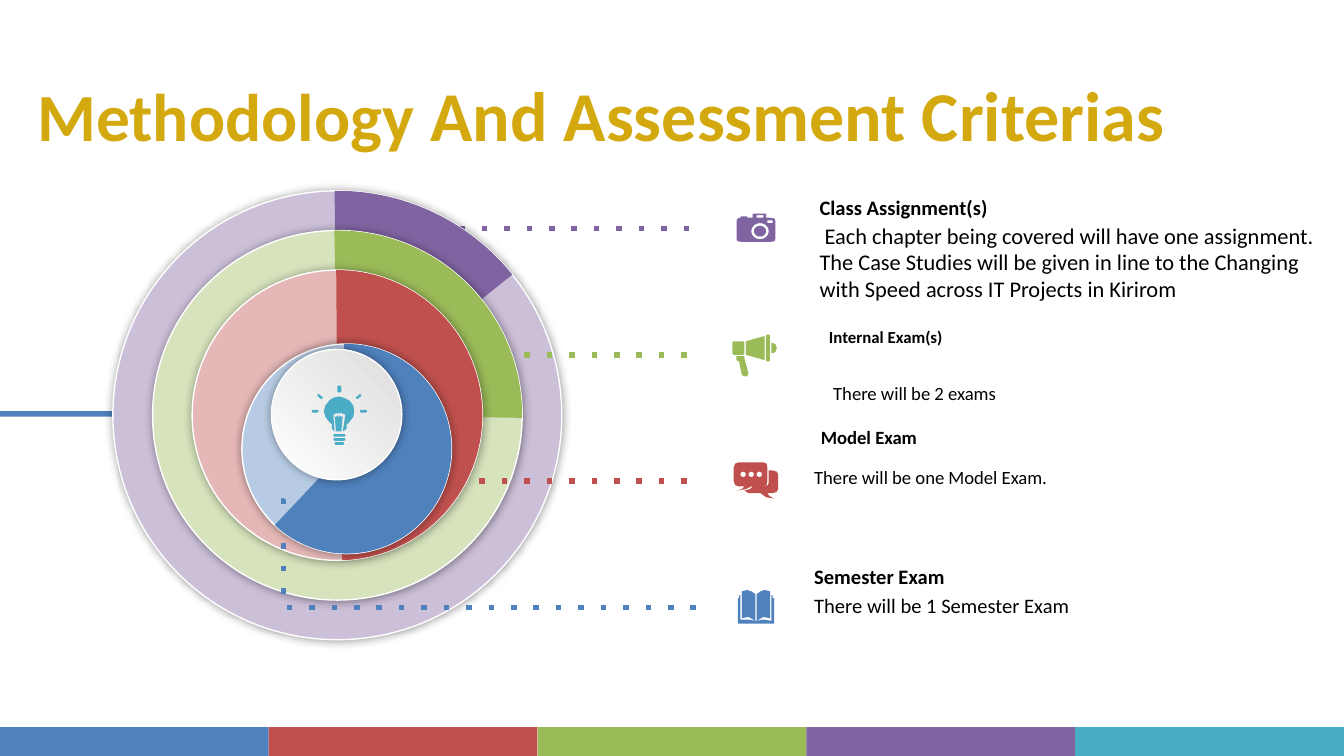
from math import copysign, cos, pi, sin

from lxml import etree
from pptx import Presentation
from pptx.dml.color import RGBColor
from pptx.enum.shapes import MSO_CONNECTOR, MSO_SHAPE
from pptx.enum.text import MSO_ANCHOR, PP_ALIGN
from pptx.oxml.ns import qn
from pptx.util import Inches, Pt

BLUE = RGBColor(0x4F, 0x81, 0xBD)
RED = RGBColor(0xC0, 0x50, 0x4D)
GREEN = RGBColor(0x9B, 0xBB, 0x59)
PURPLE = RGBColor(0x80, 0x64, 0xA2)
TEAL = RGBColor(0x4B, 0xAC, 0xC6)
PALE_BLUE = RGBColor(0xB7, 0xCC, 0xE4)
PALE_RED = RGBColor(0xE5, 0xB8, 0xB7)
PALE_GREEN = RGBColor(0xD6, 0xE3, 0xBC)
PALE_PURPLE = RGBColor(0xCC, 0xC0, 0xD9)
GOLD = RGBColor(0xD3, 0xA9, 0x0F)
GREY = RGBColor(0xDD, 0xDD, 0xDD)
WHITE = RGBColor(0xFF, 0xFF, 0xFF)
BLACK = RGBColor(0, 0, 0)
RECTANGLE, ELLIPSE, PIE = MSO_SHAPE.RECTANGLE, MSO_SHAPE.OVAL, MSO_SHAPE.PIE
STRAIGHT, ELBOW = MSO_CONNECTOR.STRAIGHT, MSO_CONNECTOR.ELBOW
MIDDLE, CENTER = MSO_ANCHOR.MIDDLE, PP_ALIGN.CENTER
FONT = "Calibri"
CELL = Inches(0.1)
COLUMNS, ROWS = 100, 56.25

presentation = Presentation()
presentation.slide_width = int(COLUMNS * CELL)
presentation.slide_height = int(ROWS * CELL)
slide = presentation.slides.add_slide(presentation.slide_layouts[6])
shapes = slide.shapes


def cells(*lengths):
    return [round(length * CELL) for length in lengths]


def rounded(left, top, right, bottom, power=1):
    points = []
    for step in range(24):
        angle = (step + 0.5) * pi / 12
        x, y = (copysign(abs(value) ** power, value) for value in (cos(angle), sin(angle)))
        points.append(((left + right + x * (right - left)) / 2, (top + bottom + y * (bottom - top)) / 2))
    return points


bar_width = COLUMNS / 5
bars = [(index * bar_width, 54.1, bar_width, ROWS - 54.1, color)
        for index, color in enumerate((BLUE, RED, GREEN, PURPLE, TEAL))]
for *box, color in bars + [(0, 30.6, 14.5, 0.4, BLUE)]:
    bar = shapes.add_shape(RECTANGLE, *cells(*box))
    bar.shadow.inherit = False
    bar.fill.solid()
    bar.fill.fore_color.rgb = color
    bar.line.fill.background()

title = shapes.add_textbox(*cells(-2.7, 6.1, 94.9, 5.9)).text_frame
title.word_wrap = True
title.vertical_anchor = MIDDLE
paragraph = title.paragraphs[0]
paragraph.alignment = CENTER
paragraph.line_spacing = 0.8
paragraph.font.name = FONT
paragraph.font.bold = True
paragraph.font.color.rgb = GOLD
for text, size in (("Methodology", 36.1), (" And Assessment Criterias", 37.5)):
    run = paragraph.add_run()
    run.text = text
    run.font.size = Pt(size)

LEADER_END, LEADER_TOP, LEADER_STEP = 51.8, 17, 9.4
rings = [
    (25.1, 30.9, 33.4, PALE_PURPLE, PURPLE, (269.3, 321.2), 32.5),
    (25.1, 30.9, 27.5, PALE_GREEN, GREEN, (269.1, 0.8), 34),
    (25.1, 30.9, 21.6, PALE_RED, RED, (269.6, 88), 34),
    (25.8, 33.4, 15.6, PALE_BLUE, BLUE, (268.6, 133.3), None),
    (25.05, 30.85, 9.7, None, None, None, None),
]
leaders = []
for index, (x, y, size, pale, strong, angles, leader_start) in enumerate(rings):
    if leader_start:
        row = LEADER_TOP + index * LEADER_STEP
        leader = shapes.add_connector(STRAIGHT, *cells(leader_start, row, LEADER_END, row))
        leaders.append((leader, strong))
    box = cells(x - size / 2, y - size / 2, size, size)
    disc = shapes.add_shape(ELLIPSE, *box)
    if pale:
        disc.fill.solid()
        disc.fill.fore_color.rgb = pale
    else:
        disc.fill.gradient()
        disc.fill.gradient_angle = 225
        for stop, color in zip(disc.fill.gradient_stops, (GREY, WHITE)):
            stop.color.rgb = color
    disc.line.color.rgb = WHITE
    disc.line.width = Pt(0.75)
    disc.shadow.inherit = False
    effects = disc._element.spPr.find(qn("a:effectLst"))
    shadow = etree.SubElement(effects, qn("a:outerShdw"), blurRad=str(Pt(5)), dist="0", dir="0")
    shade = etree.SubElement(shadow, qn("a:srgbClr"), val=str(BLACK))
    etree.SubElement(shade, qn("a:alpha"), val="40000")
    if angles:
        wedge = shapes.add_shape(PIE, *box)
        wedge.shadow.inherit = False
        wedge.fill.solid()
        wedge.fill.fore_color.rgb = strong
        wedge.line.fill.background()
        for position, angle in enumerate(angles):
            wedge.adjustments[position] = angle * 0.6

bent = shapes.add_connector(ELBOW, *cells(LEADER_END, LEADER_TOP + 3 * LEADER_STEP, 20.8, 37.3))
guides = bent._element.spPr.prstGeom.get_or_add_avLst()
etree.SubElement(guides, qn("a:gd"), name="adj1", fmla="val 99000")
for leader, color in leaders + [(bent, BLUE)]:
    leader.line.color.rgb = color
    leader.line.width = Pt(3)
    etree.SubElement(leader.line._get_or_add_ln(), qn("a:prstDash"), val="dot")
    etree.SubElement(leader._element.spPr, qn("a:effectLst"))

captions = [
    (60, 14, 40, 2.9, "Class Assignment(s)", 11, True),
    (60, 16, 40, 7.1, " Each chapter being covered will have one assignment. The Case Studies will be given "
     "in line to the Changing with Speed across IT Projects in Kirirom", 12, False),
    (60.7, 23.8, 31.4, 2.5, "Internal Exam(s)", 9, True),
    (60.7, 27.9, 31.4, 2.7, " There will be 2 exams", 10, False),
    (60.1, 31.2, 31.4, 2.7, "Model Exam", 10, True),
    (59.6, 34.2, 31.4, 2.7, "There will be one Model Exam.", 10, False),
    (59.6, 41.5, 31.4, 2.9, "Semester Exam", 11, True),
    (59.6, 43.6, 31.4, 2.9, "There will be 1 Semester Exam", 11, False),
]
for *box, text, size, bold in captions:
    frame = shapes.add_textbox(*cells(*box)).text_frame
    frame.word_wrap = True
    paragraph = frame.paragraphs[0]
    paragraph.text = text
    paragraph.font.name = FONT
    paragraph.font.size = Pt(size)
    paragraph.font.bold = bold
    paragraph.font.color.rgb = BLACK

book = [[
    (56.2, 46.2), (56.3, 46.2), (56.8, 46.1), (57.4, 46.2), (57.4, 44.3), (57.3, 44.3), (57.3, 46),
    (56.8, 45.9), (56.3, 46.2), (56.3, 44.2), (56.6, 44), (56.9, 43.9), (57.3, 44), (57.3, 44.3),
    (57.5, 44.3), (57.5, 44.5), (57.6, 44.5), (57.6, 46.4), (54.9, 46.4), (54.9, 44.5), (55, 44.5),
    (55, 44.3), (55.2, 44.3), (55.2, 44), (55.6, 43.9), (55.9, 44), (56.2, 44.2), (56.2, 46.2),
    (55.7, 45.9), (55.2, 46), (55.2, 44.3), (55.1, 44.3), (55.1, 46.1), (55.7, 46.1)]]
speech = [
    [(55, 34.4), (56.8, 34.4), (57.05, 34.5), (57.1, 34.8), (57.1, 35.8), (57.05, 36.1), (56.8, 36.2),
     (55.9, 36.2), (55.5, 36.4), (54.8, 36.5), (55.2, 36.4), (55.4, 36.2), (55, 36.2), (54.7, 36.1),
     (54.6, 35.8), (54.6, 34.8), (54.7, 34.5)],
    [(57.2, 35), (57.5, 35), (57.8, 35.1), (57.9, 35.3), (57.9, 36.4), (57.8, 36.6), (57.5, 36.7),
     (57.1, 36.7), (57.25, 36.9), (57.6, 37.1), (57, 37), (56.6, 36.7), (55.7, 36.7), (55.4, 36.5),
     (55.8, 36.4), (56, 36.2), (56.9, 36.2), (57.15, 36.1), (57.2, 35.9)],
]
speech += [rounded(x, 35.1, x + 0.4, 35.5) for x in (55.1, 55.7, 56.3)]
megaphone = [
    [(55.4, 26.5), (55.4, 26.7), (55.7, 27.8), (55.6, 28), (55.4, 28), (55.2, 27.9), (55, 26.9),
     (54.8, 26.8), (54.8, 26.5)],
    [(57.4, 25.5), (57.7, 25.6), (57.8, 25.9), (57.7, 26.2), (57.4, 26.3)],
    rounded(54.5, 25.4, 55.4, 26.4, 0.2),
    [(56.9, 25), (56.9, 26.8), (55.5, 26.4), (55.5, 25.4)],
    rounded(57, 24.9, 57.3, 26.9, 0.2),
]
camera = [
    rounded(54.8, 16.2, 57.7, 18, 0.2), rounded(56, 15.9, 57, 16.2, 0), rounded(56.3, 16, 56.8, 16.2, 0),
    rounded(55.1, 16.1, 55.6, 16.2, 0), rounded(55.9, 16.6, 57.2, 17.8), rounded(56.1, 16.8, 57, 17.6),
    rounded(57.1, 16.4, 57.5, 16.6, 0),
]
bulb = [
    [(25.2, 29.5), (25.6, 29.6), (26, 29.8), (26.3, 30.2), (26.35, 30.6), (26.3, 31), (26, 31.4),
     (25.8, 31.6), (25.8, 31.9), (25.5, 32.1), (24.9, 32.1), (24.7, 31.9), (24.7, 31.6), (24.5, 31.4),
     (24.2, 31), (24.1, 30.6), (24.2, 30.2), (24.5, 29.8), (24.8, 29.6)],
    [(24.8, 30.85), (24.95, 30.8), (25, 30.7), (25.1, 30.8), (25.2, 30.7), (25.3, 30.8), (25.4, 30.7),
     (25.5, 30.8), (25.7, 30.85), (25.5, 32.1), (25.4, 32.1), (25.5, 30.95), (25.4, 31.05),
     (25.3, 30.9), (25.2, 31.05), (25.1, 30.9), (25, 31.05), (24.9, 30.95), (25, 32.1), (24.9, 32.1)],
    [(26.8, 29.3), (26.9, 29.45), (26.6, 29.7), (26.45, 29.6)],
    [(23.7, 29.3), (23.6, 29.45), (23.9, 29.7), (24.05, 29.6)],
    rounded(25.1, 28.7, 25.4, 29.2, 0.4),
]
bulb += [rounded(x, 30.5, x + 0.5, 30.7, 0.4) for x in (23.2, 26.8)]
bulb += [rounded(24.8 + inset, y, 25.7 - inset, y + 0.2, 0.4) for y, inset in ((32.3, 0), (32.6, 0), (32.9, 0.1))]

icons = [(book, BLUE), (speech, RED), (megaphone, GREEN), (camera, PURPLE), (bulb, TEAL)]
for contours, color in icons:
    builder = shapes.build_freeform(*cells(*contours[0][0]))
    for contour in contours:
        points = [cells(*point) for point in contour]
        if contour is not contours[0]:
            builder.move_to(*points[0])
        builder.add_line_segments(points[1:], close=True)
    icon = builder.convert_to_shape()
    icon.shadow.inherit = False
    icon.fill.solid()
    icon.fill.fore_color.rgb = color
    icon.line.fill.background()

presentation.save("out.pptx")
